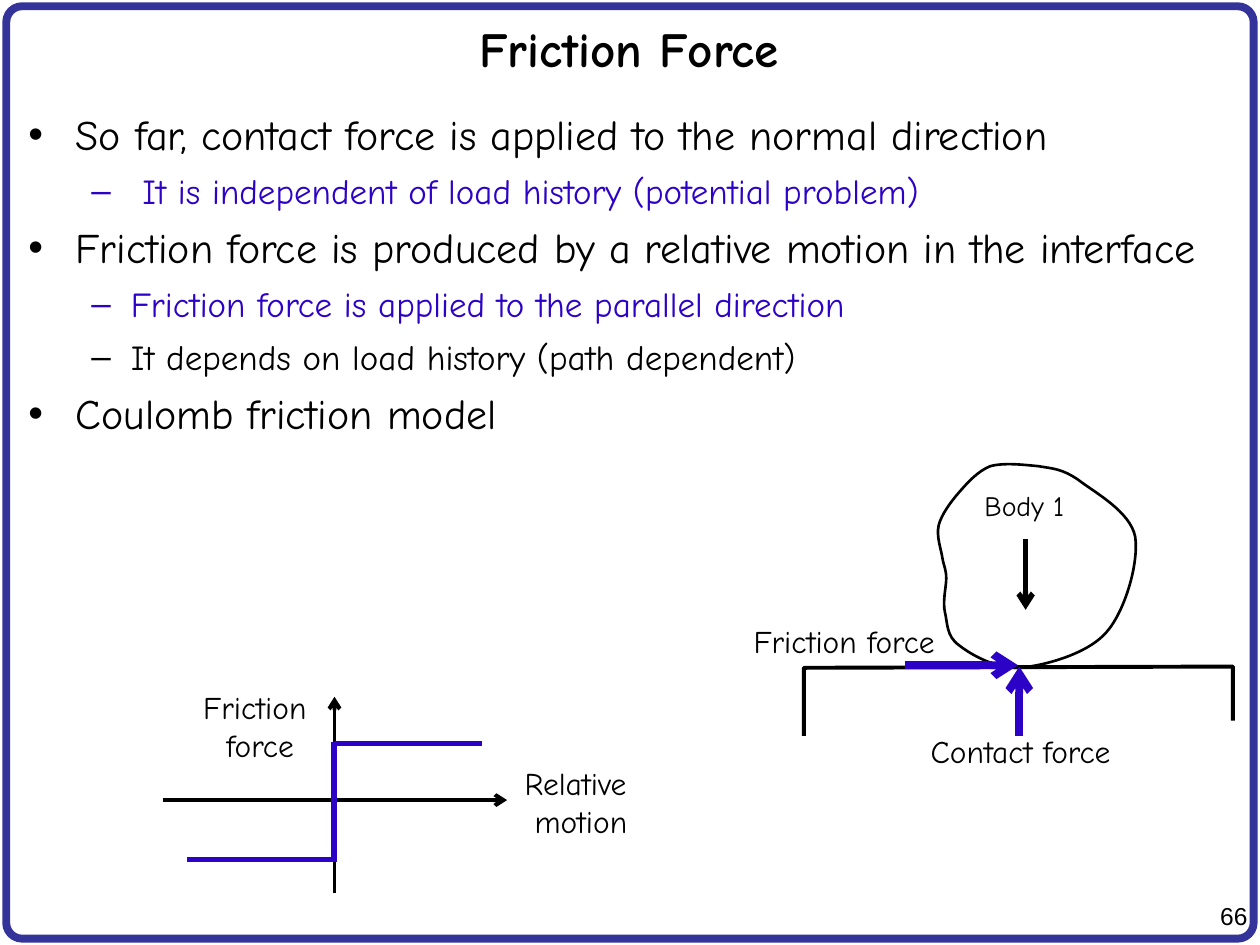
from pptx import Presentation
from pptx.dml.color import RGBColor
from pptx.enum.shapes import MSO_CONNECTOR as Connector, MSO_SHAPE as Shape
from pptx.enum.text import MSO_ANCHOR as Anchor, MSO_AUTO_SIZE as AutoSize, PP_ALIGN as Align
from pptx.oxml.ns import qn
from pptx.util import Inches, Pt
from lxml.etree import SubElement

BLACK = RGBColor(0x00, 0x00, 0x00)
VIOLET = RGBColor(0x2C, 0x02, 0xC6)
NAVY = RGBColor(0x33, 0x33, 0x99)

BULLETS = [
    (0, "So far, contact force is applied to the normal direction", BLACK),
    (1, " It is independent of load history (potential problem)", VIOLET),
    (0, "Friction force is produced by a relative motion in the interface", BLACK),
    (1, "Friction force is applied to the parallel direction", VIOLET),
    (1, "It depends on load history (path dependent)", BLACK),
    (0, "Coulomb friction model", BLACK),
]
LEVELS = [("•", 24, 27, 27), ("–", 20, 58.5, 22.5)]

BODY_OUTLINE = [
    (82.4, 37),
    (81.3, 36.9), (79.7, 36.7), (78.6, 37),
    (77.6, 37.4), (76.8, 38.3), (76.1, 39.1),
    (75.4, 39.9), (74.7, 40.9), (74.5, 41.7),
    (74.3, 42.6), (74.7, 43.6), (74.8, 44.3),
    (74.9, 44.9), (75.1, 45.2), (75.1, 45.9),
    (75.1, 46.6), (74.8, 47.7), (75, 48.6),
    (75.2, 49.4), (75.1, 50.5), (76.1, 51.2),
    (77.1, 52), (79.1, 53.1), (81, 53),
    (83, 52.8), (86.3, 51.9), (87.8, 50.2),
    (89.3, 48.5), (90.4, 44.7), (90.1, 42.6),
    (89.7, 40.6), (86.9, 39.1), (85.6, 38.1),
    (84.3, 37.2), (83.6, 37.2), (82.4, 37),
]
GROUND = [(63.8, 58.4), (63.8, 53), (97.85, 52.9), (97.85, 57.2)]

ARROWS = [
    ((81.4, 42.8), (81.4, 48.4), BLACK, 3),
    ((80.9, 58.4), (80.9, 52.9), VIOLET, 4.5),
    ((71.8, 52.8), (80.8, 52.8), VIOLET, 4.5),
    ((12.9, 63.5), (40.25, 63.5), BLACK, 2.25),
    ((26.55, 70.9), (26.55, 55.3), BLACK, 2.25),
]
COULOMB_STEPS = [
    ((14.85, 68.2), (26.5, 68.2)),
    ((26.6, 59), (38.25, 59)),
    ((26.5, 58.9), (26.5, 68.4)),
]
LABELS = [
    ("Body 1", (77.15, 38.3, 8.8, 3.7), 16, Align.LEFT),
    ("Contact force", (71.8, 57.6, 18.4, 4), 18, Align.CENTER),
    ("Friction force", (57.7, 48.9, 18.6, 4), 18, Align.CENTER),
    ("Relative \vmotion", (40, 60.15, 12.2, 7.1), 18, Align.CENTER),
    ("Friction \vforce", (14.65, 54.1, 12, 7.1), 18, Align.CENTER),
]


class SlideBuilder:
    """Draws styled elements on a grid of 100 columns by 75 rows."""

    font_name = "Comic Neue"

    def __init__(self, deck):
        self.column = deck.slide_width / 100
        self.row = deck.slide_height / 75
        self.slide = deck.slides.add_slide(deck.slide_layouts[1])
        self.shapes = self.slide.shapes

    def place(self, x, y):
        return round(x * self.column), round(y * self.row)

    def area(self, left, top, width, height):
        return self.place(left, top) + self.place(width, height)

    def move(self, holder, area):
        holder.left, holder.top, holder.width, holder.height = self.area(*area)
        holder.text_frame.auto_size = AutoSize.NONE

    def style(self, para, size, color=BLACK, bold=False, name=None):
        font = para.font
        font.name, font.size, font.bold = name or self.font_name, Pt(size), bold
        font.color.rgb = color

    def outline(self, shape, color, width):
        shape.shadow.inherit = False
        shape.fill.background()
        shape.line.color.rgb, shape.line.width = color, Pt(width)

    def frame(self, area, color, width):
        frame = self.shapes.add_shape(Shape.ROUNDED_RECTANGLE, *self.area(*area))
        frame.adjustments[0] = 0.017
        self.outline(frame, color, width)

    def title(self, text, area):
        title = self.shapes.title
        self.move(title, area)
        title.text_frame.vertical_anchor = Anchor.MIDDLE
        title.text_frame.text = text
        para = title.text_frame.paragraphs[0]
        para.alignment = Align.CENTER
        self.style(para, 28, bold=True)

    def bullets(self, items, area):
        body = self.slide.placeholders[1]
        self.move(body, area)
        text_frame = body.text_frame
        for index, (level, text, color) in enumerate(items):
            para = text_frame.add_paragraph() if index else text_frame.paragraphs[0]
            mark, size, margin, hanging = LEVELS[level]
            para.text, para.level = text, level
            para.space_before = Pt(6 if index else 0)
            properties = para._p.get_or_add_pPr()
            properties.set("marL", str(Pt(margin)))
            properties.set("indent", str(-Pt(hanging)))
            SubElement(properties, qn("a:buChar")).set("char", mark)
            self.style(para, size, color)

    def label(self, text, area, size, align, name=None):
        box = self.shapes.add_textbox(*self.area(*area))
        box.text_frame.word_wrap = False
        box.text_frame.auto_size = AutoSize.SHAPE_TO_FIT_TEXT
        box.text_frame.text = text
        para = box.text_frame.paragraphs[0]
        para.alignment = align
        self.style(para, size, name=name)

    def line(self, start, end, color, width, arrow=False):
        line = self.shapes.add_connector(
            Connector.STRAIGHT, *self.place(*start), *self.place(*end))
        line.line.color.rgb, line.line.width = color, Pt(width)
        if arrow:
            SubElement(line.line._get_or_add_ln(), qn("a:tailEnd")).set("type", "arrow")
        SubElement(line._element.spPr, qn("a:effectLst"))

    def polyline(self, points, width, close=False):
        start, *rest = [self.place(*point) for point in points]
        builder = self.shapes.build_freeform(*start)
        builder.add_line_segments(rest, close=close)
        shape = builder.convert_to_shape()
        self.outline(shape, BLACK, width)
        return shape

    def closed_curve(self, points, width):
        shape = self.polyline(points, width, close=True)
        segments = list(shape._element.iter(qn("a:lnTo")))
        for first in range(0, len(segments), 3):
            curve = segments[first]
            bezier = curve.makeelement(qn("a:cubicBezTo"))
            curve.addprevious(bezier)
            for segment in segments[first:first + 3]:
                bezier.append(segment[0])
                segment.getparent().remove(segment)


def main():
    deck = Presentation()
    deck.slide_width, deck.slide_height = Inches(10), Inches(7.5)
    page = SlideBuilder(deck)
    page.frame((0.5, 0.5, 99, 74), NAVY, 4.5)
    page.label("66", (94.6, 71, 5.4, 3.3), 14, Align.RIGHT, "Arial")
    page.title("Friction Force", (0.4, 0.55, 99, 6.5))
    page.bullets(BULLETS, (1.25, 8.1, 97.4, 64.2))
    page.closed_curve(BODY_OUTLINE, 1.5)
    page.polyline(GROUND, 2.25)
    for arrow in ARROWS:
        page.line(*arrow, arrow=True)
    for start, end in COULOMB_STEPS:
        page.line(start, end, VIOLET, 3)
    for label in LABELS:
        page.label(*label)
    deck.save("out.pptx")


if __name__ == "__main__":
    main()
